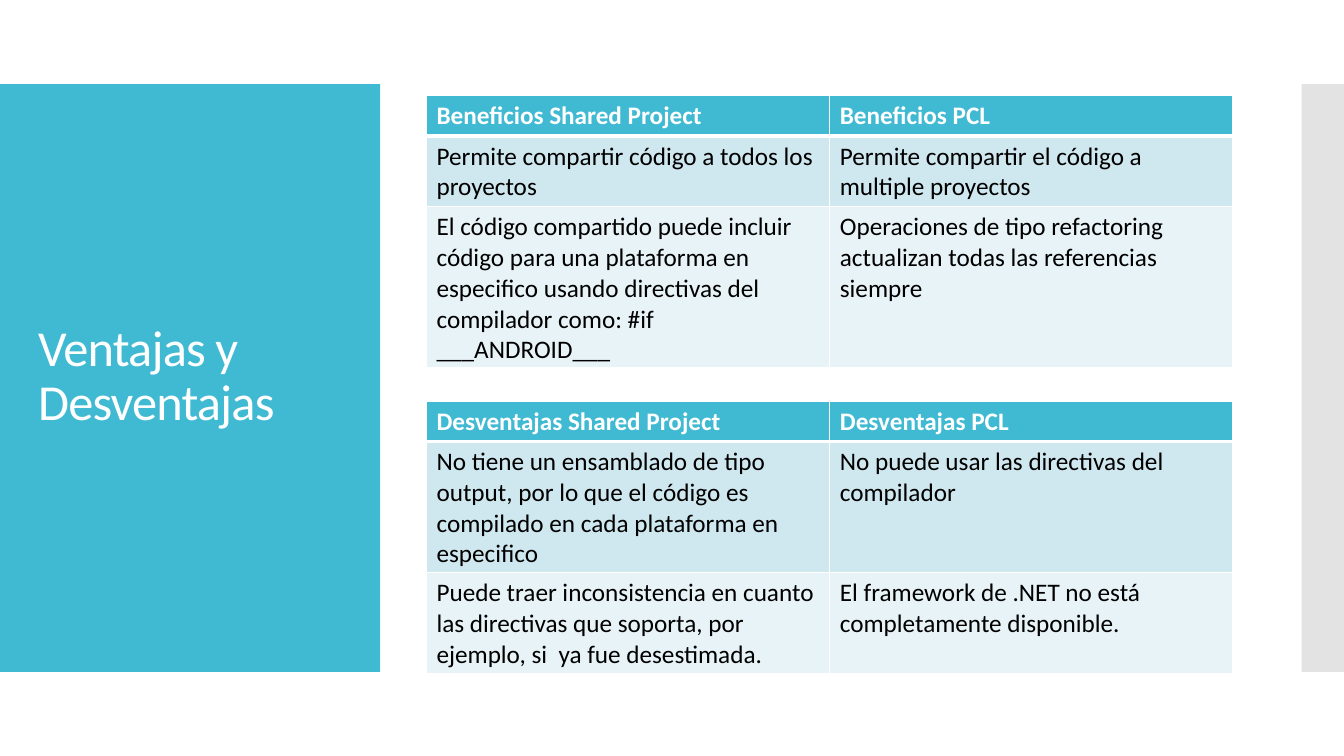
from lxml import etree
from pptx import Presentation
from pptx.dml.color import RGBColor
from pptx.enum.shapes import MSO_SHAPE
from pptx.enum.text import MSO_ANCHOR, PP_ALIGN
from pptx.oxml.ns import qn
from pptx.util import Inches, Pt

RECT = MSO_SHAPE.RECTANGLE
MIDDLE = MSO_ANCHOR.MIDDLE
LEFT = PP_ALIGN.LEFT

TEAL = RGBColor(0x40, 0xBA, 0xD2)
GRAY = RGBColor(0xC8, 0xC8, 0xC8)
BAND_DARK = RGBColor(0xCF, 0xE7, 0xEE)
BAND_LIGHT = RGBColor(0xE8, 0xF3, 0xF7)
WHITE = RGBColor(0xFF, 0xFF, 0xFF)
BLACK = RGBColor(0x00, 0x00, 0x00)

# Content: each table row is (lines of text it holds, left cell, right cell)
TITLE = "Ventajas y Desventajas"
BENEFITS = [
    (1, "Beneficios Shared Project", "Beneficios PCL"),
    (2, "Permite compartir código a todos los proyectos",
     "Permite compartir el código a multiple proyectos"),
    (5, "El código compartido puede incluir código para una plataforma en "
        "especifico usando directivas del compilador como: #if ___ANDROID___",
     "Operaciones de tipo refactoring actualizan todas las referencias siempre"),
]
DRAWBACKS = [
    (1, "Desventajas Shared Project", "Desventajas PCL"),
    (4, "No tiene un ensamblado de tipo output, por lo que el código es "
        "compilado en cada plataforma en especifico",
     "No puede usar las directivas del compilador"),
    (3, "Puede traer inconsistencia en cuanto las directivas que soporta, "
        "por ejemplo, si  ya fue desestimada.",
     "El framework de .NET no está completamente disponible."),
]

# Layout in inches
SLIDE_W, SLIDE_H = 13.33, 7.5
BAND_TOP, BAND_H = SLIDE_H / 9, SLIDE_H * 7 / 9
PANEL_W, STRIP_W = 3.77, 0.42
TABLE_X, COL_W = 4.23, 4
TABLE_TOPS = (0.95, 3.98)
LINE_H, CELL_PAD = 0.3, 0.1

# Row formats: header, then the two bands
ROW_STYLES = [
    (TEAL, dict(size=Pt(18), name="Calibri", bold=True), WHITE),
    (BAND_DARK, dict(size=Pt(18), name="Calibri", bold=False), BLACK),
    (BAND_LIGHT, dict(size=Pt(18), name="Calibri", bold=False), BLACK),
]

prs = Presentation()
prs.slide_width, prs.slide_height = Inches(SLIDE_W), Inches(SLIDE_H)
slide = prs.slides.add_slide(prs.slide_layouts[6])


def write(tf, text, font, color):
    p = tf.paragraphs[0]
    p.alignment = LEFT
    r = p.add_run()
    r.text = text
    for key, value in font.items():
        setattr(r.font, key, value)
    r.font.color.rgb = color
    return p, r


def add_block(x, w, color):
    s = slide.shapes.add_shape(RECT, Inches(x), Inches(BAND_TOP),
                               Inches(w), Inches(BAND_H))
    s.shadow.inherit = False
    s.fill.solid()
    s.fill.fore_color.rgb = color
    s.line.fill.background()
    return s


def add_border(cell, side, points):
    ln = etree.SubElement(cell._tc.get_or_add_tcPr(), qn("a:ln" + side),
                          w=str(Pt(points)))
    fill = etree.SubElement(ln, qn("a:solidFill"))
    etree.SubElement(fill, qn("a:srgbClr"), val=str(WHITE))


def add_grid(top, rows):
    heights = [CELL_PAD + LINE_H * lines for lines, *_ in rows]
    table = slide.shapes.add_table(
        len(rows), 2, Inches(TABLE_X), Inches(top),
        Inches(2 * COL_W), Inches(sum(heights))).table
    for i, (_, *texts) in enumerate(rows):
        table.rows[i].height = Inches(heights[i])
        fill, font, color = ROW_STYLES[i]
        for j, text in enumerate(texts):
            cell = table.cell(i, j)
            # Thick rule between the header and the first band
            for side, thick in (("L", False), ("R", False),
                                ("T", i == 1), ("B", i == 0)):
                add_border(cell, side, 3 if thick else 1)
            cell.fill.solid()
            cell.fill.fore_color.rgb = fill
            write(cell.text_frame, text, font, color)


# Side panel and translucent right strip
add_block(0, PANEL_W, TEAL)
strip = add_block(SLIDE_W - STRIP_W, STRIP_W, GRAY)
strip_color = strip._element.spPr.find(qn("a:solidFill"))[0]
etree.SubElement(strip_color, qn("a:alpha"), val="50000")

# Title
box = slide.shapes.add_textbox(Inches(0.28), Inches(1.23),
                               Inches(3.22), Inches(5.03))
tf = box.text_frame
tf.word_wrap = True
tf.vertical_anchor = MIDDLE
p, r = write(tf, TITLE, dict(size=Pt(36), name="Calibri"), WHITE)
p.line_spacing = 0.9
r.font._element.set("spc", "-60")

# Tables
for top, rows in zip(TABLE_TOPS, (BENEFITS, DRAWBACKS)):
    add_grid(top, rows)

prs.save("out.pptx")
